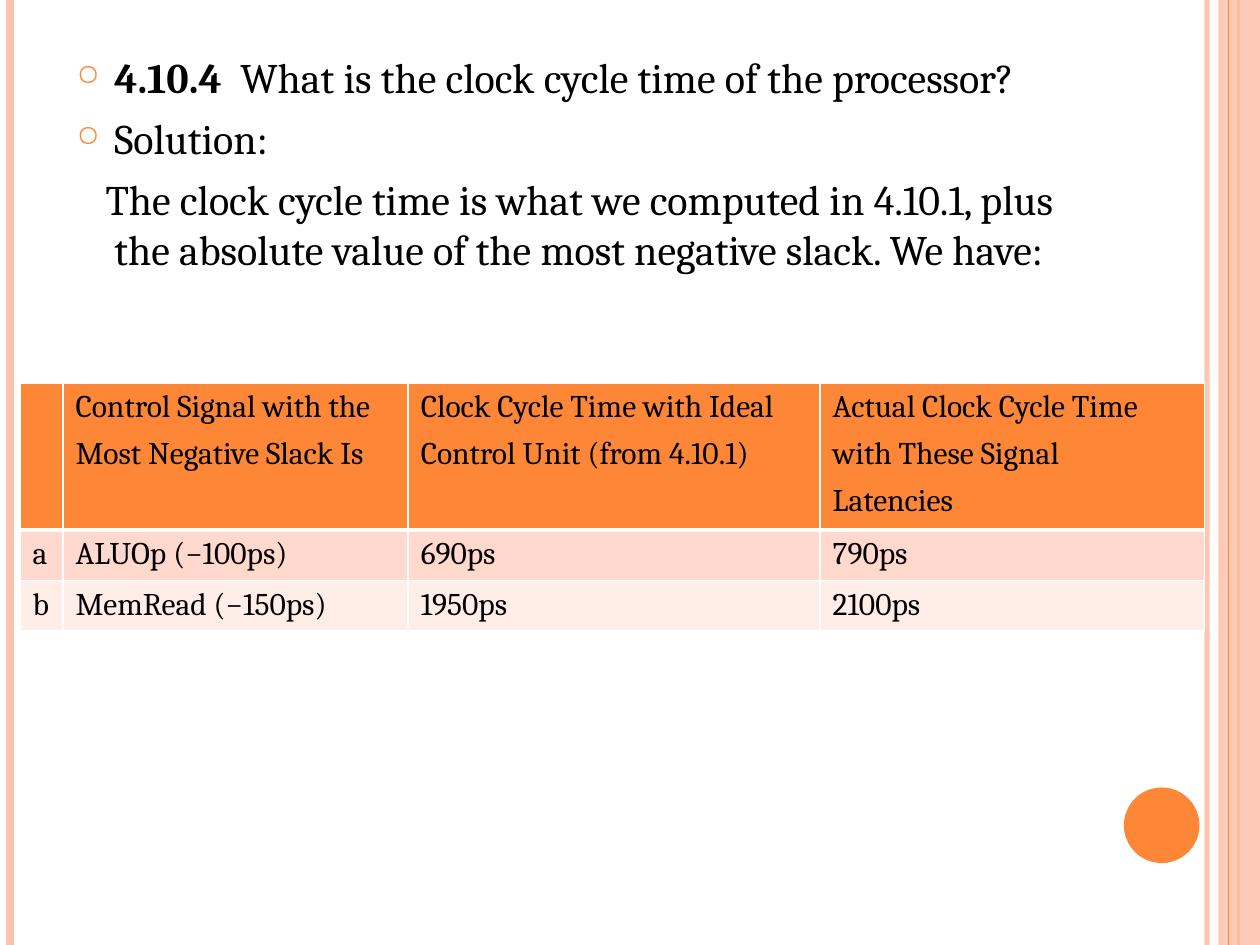
from dataclasses import dataclass

from lxml import etree
from pptx import Presentation
from pptx import util as u
from pptx.dml.color import RGBColor
from pptx.enum import shapes as sh
from pptx.oxml import ns

FONT = "Cambria"
ORANGE, PEACH, WHITE, BLACK = "FE8637", "FEC3AE", "FFFFFF", "000000"


@dataclass
class Rule:
    x: float
    color: str
    width: float
    opacity: int = 100


@dataclass
class Line:
    runs: list[tuple[str, bool]]
    bullet: bool = True
    first_indent: float = -0.3


@dataclass
class Row:
    height: float
    fill: str
    top: float
    bottom: float
    cells: list[str]


def color(value: str) -> RGBColor:
    return RGBColor.from_string(value)


def sub(parent, tag: str, **attributes):
    return etree.SubElement(parent, ns.qn(tag), attributes)


def set_opacity(fill_parent, percent: int) -> None:
    clr = fill_parent.find(".//" + ns.qn("a:srgbClr"))
    sub(clr, "a:alpha", val=str(percent * 1000))


def add_rule(slide, rule: Rule) -> None:
    line = slide.shapes.add_connector(
        sh.MSO_CONNECTOR.STRAIGHT, u.Inches(rule.x), 0, u.Inches(rule.x), u.Inches(7.5))
    line.line.color.rgb = color(rule.color)
    line.line.width = u.Pt(rule.width)
    if rule.opacity < 100:
        set_opacity(line.line._ln, rule.opacity)
    sub(line._element.spPr, "a:effectLst")


def add_block(slide, kind, left: float, top: float, width: float, height: float,
              fill: str, opacity: int = 100) -> None:
    block = slide.shapes.add_shape(
        kind, u.Inches(left), u.Inches(top), u.Inches(width), u.Inches(height))
    block.shadow.inherit = False
    block.fill.solid()
    block.fill.fore_color.rgb = color(fill)
    if opacity < 100:
        set_opacity(block._element.spPr, opacity)
    block.line.fill.background()


def add_run(paragraph, words: str, size: int, bold: bool = False) -> None:
    run = paragraph.add_run()
    run.text = words
    run.font.name = FONT
    run.font.size = u.Pt(size)
    run.font.bold = bold
    run.font.color.rgb = color(BLACK)


def next_paragraph(frame, index: int):
    if index == 0:
        return frame.paragraphs[0]
    paragraph = frame.add_paragraph()
    paragraph.space_before = u.Pt(6)
    return paragraph


def add_body(slide, lines: list[Line]) -> None:
    frame = slide.shapes.add_textbox(
        u.Inches(0.51), u.Inches(0.36), u.Inches(8.17), u.Inches(6.72)).text_frame
    frame.word_wrap = True
    for index, line in enumerate(lines):
        paragraph = next_paragraph(frame, index)
        props = paragraph._p.get_or_add_pPr()
        props.set("marL", str(u.Inches(0.3)))
        props.set("indent", str(u.Inches(line.first_indent)))
        if line.bullet:
            sub(sub(props, "a:buClr"), "a:srgbClr", val=ORANGE)
            sub(props, "a:buSzPct", val="70000")
            sub(props, "a:buChar", char="○")
        else:
            sub(props, "a:buNone")
        for words, bold in line.runs:
            add_run(paragraph, words, 24, bold)


def set_borders(cell, top: float, bottom: float) -> None:
    props = cell._tc.get_or_add_tcPr()
    sides = {"a:lnL": 1, "a:lnR": 1, "a:lnT": top, "a:lnB": bottom}
    for position, (tag, width) in enumerate(sides.items()):
        border = sub(props, tag, w=str(u.Pt(width)))
        sub(sub(border, "a:solidFill"), "a:srgbClr", val=WHITE)
        props.insert(position, border)


def add_timing_table(slide, widths: list[float], rows: list[Row]) -> None:
    table = slide.shapes.add_table(
        len(rows), len(widths), u.Inches(0.16), u.Inches(3.04),
        u.Inches(sum(widths)), u.Inches(sum(row.height for row in rows))).table
    for column, width in zip(table.columns, widths):
        column.width = u.Inches(width)
    for r, row in enumerate(rows):
        table.rows[r].height = u.Inches(row.height)
        for c, content in enumerate(row.cells):
            cell = table.cell(r, c)
            cell.fill.solid()
            cell.fill.fore_color.rgb = color(row.fill)
            set_borders(cell, row.top, row.bottom)
            if not content:
                continue
            for index, words in enumerate(content.split("\n")):
                add_run(next_paragraph(cell.text_frame, index), words, 18)


RULES_BEHIND = [Rule(9.58, PEACH, 3, 93), Rule(0.08, PEACH, 4.5), Rule(9.83, ORANGE, 1.5)]
RULE_ON_BAND = Rule(9.75, ORANGE, 0.75)

QUESTION = [
    Line([("4.10.4", True), ("  What is the clock cycle time of the processor?", False)]),
    Line([("Solution:", False)]),
    Line([("The clock cycle time is what we computed in 4.10.1, plus the absolute "
           "value of the most negative slack. We have:", False)], False, -0.07),
]

COLUMN_WIDTHS = [0.34, 2.74, 3.27, 3.05]
TIMINGS = [
    Row(1.13, ORANGE, 1, 3, [
        "",
        "Control Signal with the\nMost Negative Slack Is",
        "Clock Cycle Time with Ideal\nControl Unit (from 4.10.1)",
        "Actual Clock Cycle Time\nwith These Signal\nLatencies"]),
    Row(0.39, "FFD9CE", 3, 1, ["a", "ALUOp (−100ps)", "690ps", "790ps"]),
    Row(0.39, "FFEDE8", 1, 1, ["b", "MemRead (−150ps)", "1950ps", "2100ps"]),
]


def main() -> None:
    deck = Presentation()
    deck.slide_width, deck.slide_height = u.Inches(10), u.Inches(7.5)
    slide = deck.slides.add_slide(deck.slide_layouts[6])
    slide.background.fill.solid()
    slide.background.fill.fore_color.rgb = color(WHITE)

    # Side stripes and circle
    for rule in RULES_BEHIND:
        add_rule(slide, rule)
    add_block(slide, sh.MSO_SHAPE.RECTANGLE, 9.67, 0, 0.33, 7.5, PEACH, 87)
    add_rule(slide, RULE_ON_BAND)
    add_block(slide, sh.MSO_SHAPE.OVAL, 8.92, 6.25, 0.6, 0.6, ORANGE)

    # Question and solution
    add_body(slide, QUESTION)

    # Clock cycle times
    add_timing_table(slide, COLUMN_WIDTHS, TIMINGS)

    deck.save("out.pptx")


if __name__ == "__main__":
    main()
